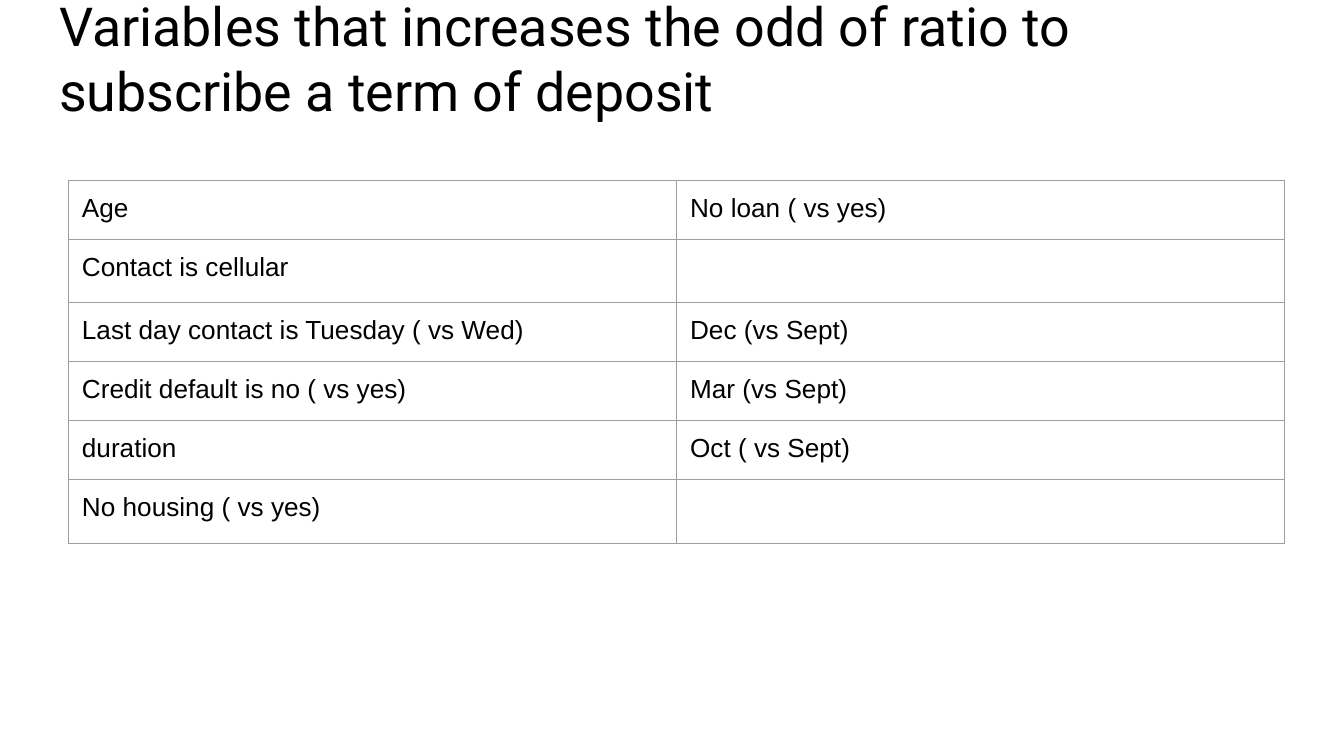
"""Build a slide listing the variables that raise the odds of subscribing."""
from dataclasses import dataclass

import pptx
import pptx.dml.color
import pptx.enum.text
import pptx.oxml
import pptx.oxml.ns
import pptx.util


@dataclass(frozen=True)
class Theme:
    """Colours, fonts and sizes of the slide."""
    text: str = "000000"
    border: str = "9E9E9E"
    title_font: str = "Roboto"
    body_font: str = "Arial"
    title_size: float = 28.8
    body_size: float = 14
    empty_size: float = 17.5
    border_width: float = 0.75
    inset: float = 0.1


@dataclass(frozen=True)
class Box:
    """A rectangle given as percentages of the slide's width and height."""
    left: float
    top: float
    width: float
    height: float

    def lengths(self, prs) -> dict[str, int]:
        """Return the rectangle in slide units."""
        w, h = prs.slide_width / 100, prs.slide_height / 100
        return {"left": int(self.left * w), "top": int(self.top * h),
                "width": int(self.width * w), "height": int(self.height * h)}


@dataclass(frozen=True)
class Row:
    """One table row of two variables."""
    first: str
    second: str = ""


THEME = Theme()
TITLE = "Variables that increases the odd of ratio to subscribe a term of deposit"
TITLE_BOX = Box(3.4, 6.2, 91.3, 11.7)
TABLE_BOX = Box(5.1, 23.83, 90.5, 46.9)
ROWS = [
    Row("Age", "No loan ( vs yes)"),
    Row("Contact is cellular"),
    Row("Last day contact is Tuesday ( vs Wed)", "Dec (vs Sept)"),
    Row("Credit default is no ( vs yes)", "Mar (vs Sept)"),
    Row("duration", "Oct ( vs Sept)"),
    Row("No housing ( vs yes)"),
]


def apply(target, values: dict) -> None:
    """Set attributes of an object from a dict."""
    for name, value in values.items():
        setattr(target, name, value)


def write(p, text: str, font: str, size: float) -> None:
    """Add a formatted run to a paragraph."""
    r = p.add_run()
    r.text = text
    apply(r.font, {"name": font, "size": pptx.util.Pt(size)})
    r.font.color.rgb = pptx.dml.color.RGBColor.from_string(THEME.text)


def size_empty(p) -> None:
    """Give an empty paragraph its font and size."""
    p._p.append(pptx.oxml.parse_xml(
        f'<a:endParaRPr {pptx.oxml.ns.nsdecls("a")} '
        f'sz="{int(THEME.empty_size * 100)}">'
        f'<a:latin typeface="{THEME.body_font}"/></a:endParaRPr>'))


def insets() -> dict[str, int]:
    """Return equal margins for a cell or a text frame."""
    return {f"margin_{side}": pptx.util.Inches(THEME.inset)
            for side in ("left", "top", "right", "bottom")}


def draw_title(s, prs) -> None:
    """Place and fill the title placeholder."""
    sp = s.shapes.title
    apply(sp, TITLE_BOX.lengths(prs))
    tf = sp.text_frame
    apply(tf, {**insets(), "word_wrap": True,
               "auto_size": pptx.enum.text.MSO_AUTO_SIZE.NONE,
               "vertical_anchor": pptx.enum.text.MSO_ANCHOR.BOTTOM})
    p = tf.paragraphs[0]
    apply(p, {"alignment": pptx.enum.text.PP_ALIGN.LEFT,
              "space_before": pptx.util.Pt(0), "line_spacing": 1.0})
    write(p, TITLE, THEME.title_font, THEME.title_size)


def draw_borders(cell) -> None:
    """Outline all four sides of a cell."""
    width = pptx.util.Pt(THEME.border_width)
    tc_pr = cell._tc.get_or_add_tcPr()
    for i, side in enumerate(("lnL", "lnR", "lnT", "lnB")):
        tc_pr.insert(i, pptx.oxml.parse_xml(
            f'<a:{side} {pptx.oxml.ns.nsdecls("a")} w="{width}"><a:solidFill>'
            f'<a:srgbClr val="{THEME.border}"/></a:solidFill></a:{side}>'))


def draw_table(s, prs, rows: list[Row]) -> None:
    """Draw the two-column table of variables."""
    table = s.shapes.add_table(len(rows), 2, **TABLE_BOX.lengths(prs)).table
    apply(table, {"first_row": False, "horz_banding": False})
    for i, row in enumerate(rows):
        for j, text in enumerate((row.first, row.second)):
            cell = table.cell(i, j)
            apply(cell, insets())
            cell.fill.background()
            draw_borders(cell)
            p = cell.text_frame.paragraphs[0]
            if text:
                write(p, text, THEME.body_font, THEME.body_size)
            else:
                size_empty(p)


def main() -> None:
    """Build and save the presentation."""
    prs = pptx.Presentation()
    width = pptx.util.Inches(10)
    apply(prs, {"slide_width": width, "slide_height": width * 9 // 16})
    s = prs.slides.add_slide(prs.slide_layouts[5])
    draw_title(s, prs)
    draw_table(s, prs, ROWS)
    prs.save("out.pptx")


if __name__ == "__main__":
    main()
